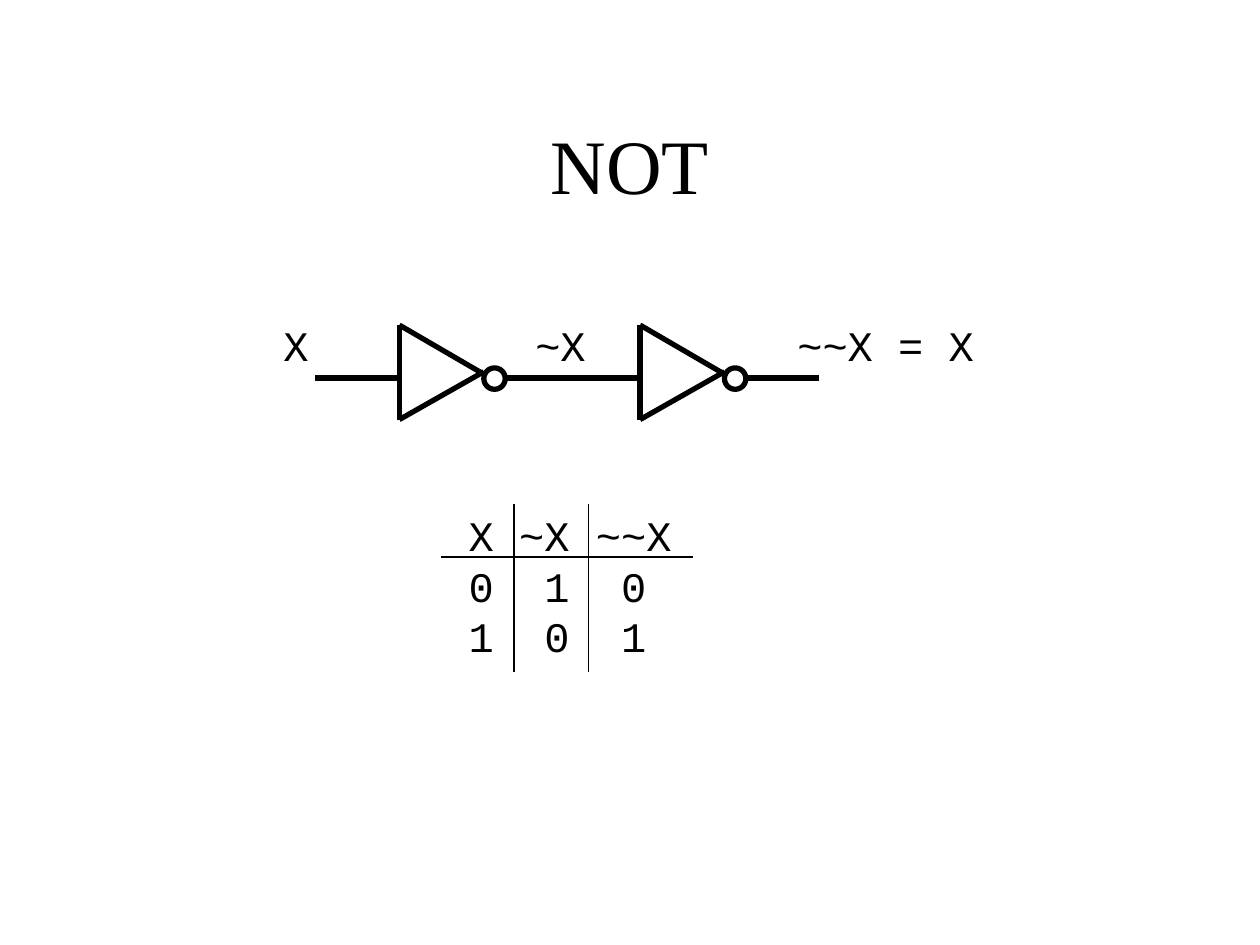
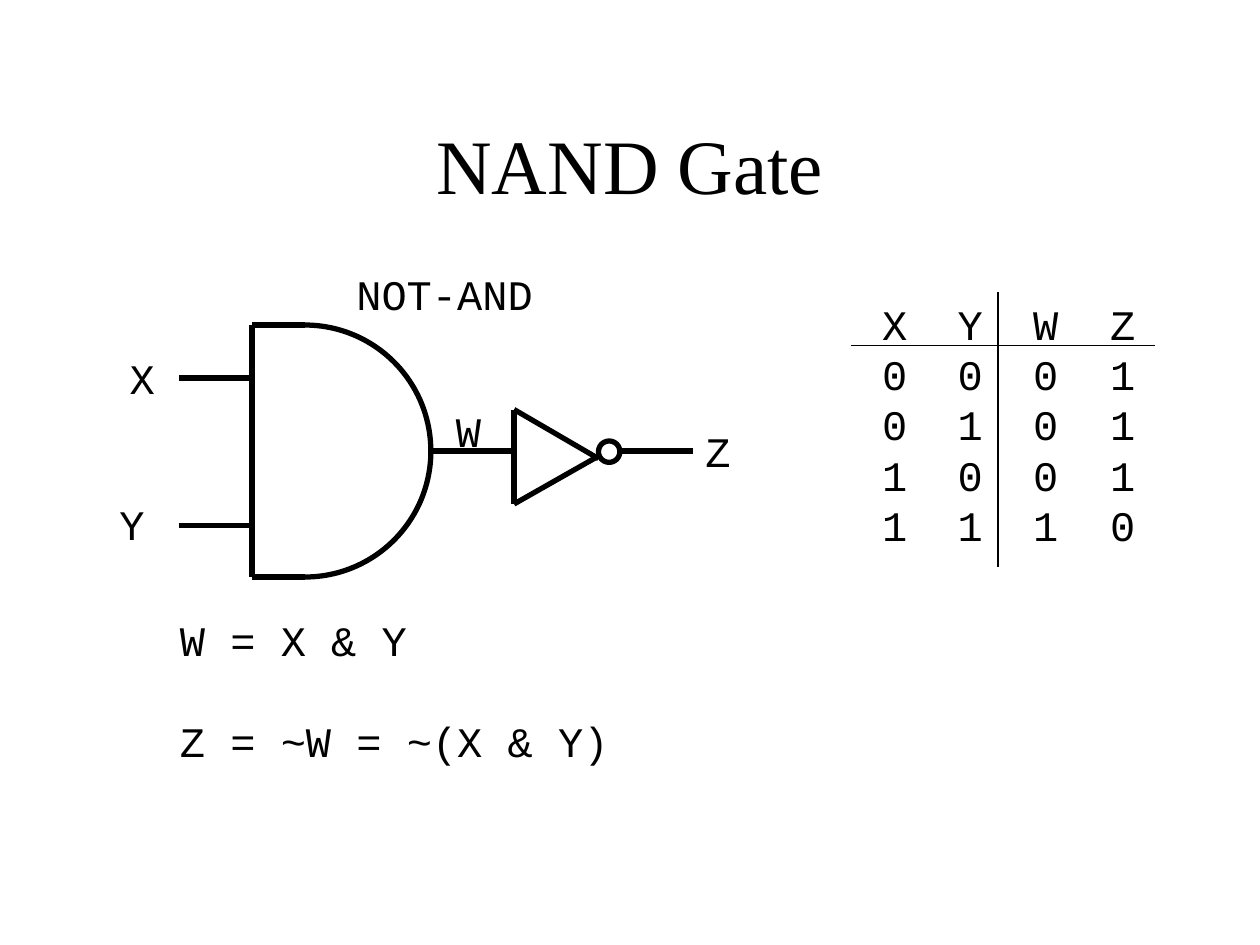
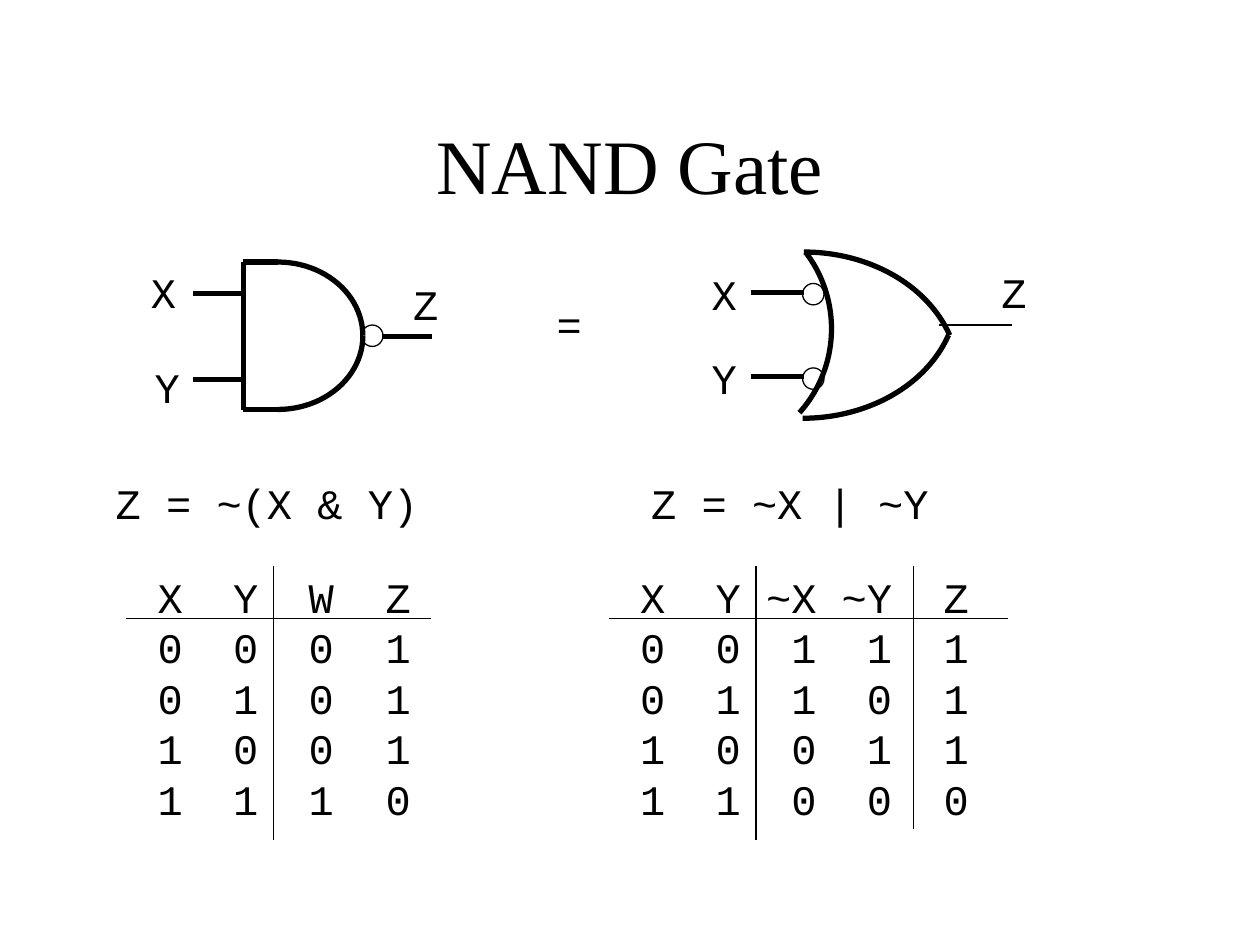
"""Build three slides on NOT and NAND gates with their truth tables."""
import pptx
import pptx.dml.color
import pptx.enum.shapes
import pptx.enum.text
import pptx.oxml
import pptx.util

Inches = pptx.util.Inches
SHAPE = pptx.enum.shapes.MSO_SHAPE
ALIGN = pptx.enum.text.PP_ALIGN
ANCHOR = pptx.enum.text.MSO_ANCHOR
INK = "000000"
THICK, THIN = 3, 0.75
CODE = {"name": "Courier New", "size": pptx.util.Pt(24)}
TITLE = {"name": "Times New Roman", "size": pptx.util.Pt(44)}
TITLE_BOX = (0.75, 0.67, 8.5, 1.25)
CHAR, ROW, INSET, BUBBLE = 0.2, 0.4, 0.1, 0.17

AND_ROWS = ["X Y W Z", "0 0 0 1", "0 1 0 1", "1 0 0 1", "1 1 1 0"]
OR_ROWS = ["X Y ~X ~Y Z", "0 0 1 1 1", "0 1 1 0 1", "1 0 0 1 1", "1 1 0 0 0"]
NOT_ROWS = ["X ~X ~~X", "0 1 0", "1 0 1"]

SLIDES = [
    {
        "title": "NOT",
        "inverters": [(3.17, 2.58, 3), (5.08, 2.58, 3)],
        "labels": [("X", 2.15, 2.49), ("~X", 4.15, 2.49), ("~~X = X", 6.23, 2.49)],
        "tables": [(NOT_ROWS, 3.62, 4, (3.5, 5.5), [(4.08, 5.33), (4.67, 5.33)])],
    },
    {
        "title": "NAND Gate",
        "and_gates": [((1.42, 2.58, 2, 2), 2, (3, 4.17))],
        "inverters": [(4.08, 3.25, 3.58)],
        "labels": [("NOT-AND", 2.73, 2.08), ("X", 0.93, 2.75), ("Y", 0.85, 3.91),
                   ("Z", 5.5, 3.33), ("W", 3.52, 3.17),
                   ("W = X & Y\nZ = ~W = ~(X & Y)", 1.33, 4.83)],
        "tables": [(AND_ROWS, 6.9, 2.32, (6.75, 9.17), [(7.92, 4.5)])],
    },
    {
        "title": "NAND Gate",
        "and_gates": [((1.53, 2.08, 1.35, 1.17), 1.93, (2.33, 3.01))],
        "arcs": [((5.15, 2, 2.46, 1.99), 270, 343.9),
                 ((5.14, 1.33, 2.46, 1.99), 16.1, 90),
                 ((4.6, 1.61, 2, 2), 322.7, 41.8)],
        "wires": [(3.03, 2.67, 3.43, 2.67, THICK), (5.96, 2.32, 6.38, 2.32, THICK),
                  (5.96, 2.99, 6.38, 2.99, THICK), (7.45, 2.58, 8.03, 2.58, THIN)],
        "bubbles": [(2.87, 2.58), (6.37, 2.92), (6.37, 2.25)],
        "labels": [("X", 5.55, 2.08), ("Y", 5.55, 2.75), ("X", 1.1, 2.07),
                   ("Y", 1.13, 2.82), ("Z", 3.18, 2.16), ("Z", 7.85, 2.07),
                   ("Z = ~(X & Y)", 0.82, 3.74), ("Z = ~X | ~Y", 5.07, 3.74),
                   ("=", 4.32, 2.32)],
        "tables": [(AND_ROWS, 1.15, 4.49, (1, 3.42), [(2.17, 6.67)]),
                   (OR_ROWS, 4.98, 4.49, (4.83, 8), [(6, 6.67), (7.25, 6.58)])],
    },
]


def color(hex_text):
    return pptx.dml.color.RGBColor.from_string(hex_text)


def box(*lengths):
    return [Inches(n) for n in lengths]


def write(p, text, style):
    r = p.add_run()
    r.text = text
    for name, value in style.items():
        setattr(r.font, name, value)
    r.font.color.rgb = color(INK)


def text_box(s, text, at, style, align=ALIGN.LEFT, anchor=ANCHOR.TOP, wrap=False):
    tf = s.shapes.add_textbox(*box(*at)).text_frame
    tf.word_wrap, tf.vertical_anchor = wrap, anchor
    for i, line in enumerate(text.split("\n")):
        p = tf.add_paragraph() if i else tf.paragraphs[0]
        p.alignment = align
        if i:
            p.space_before = Inches(ROW)
        write(p, line, style)


def label(s, text, x, y):
    lines = text.split("\n")
    width = CHAR * max(map(len, lines)) + 2 * INSET
    height = ROW * (2 * len(lines) - 1) + INSET
    text_box(s, text, (x, y, width, height), CODE)


def wire(s, x1, y1, x2, y2, weight=THICK):
    c = s.shapes.add_connector(
        pptx.enum.shapes.MSO_CONNECTOR.STRAIGHT, *box(x1, y1, x2, y2))
    c.line.color.rgb = color(INK)
    c.line.width = pptx.util.Pt(weight)
    sp_pr = c._element.spPr
    sp_pr.append(sp_pr.makeelement(pptx.oxml.ns.qn("a:effectLst"), {}))


def outline(s, kind, at, weight):
    sp = s.shapes.add_shape(kind, *box(*at))
    sp.shadow.inherit = False
    sp.fill.background()
    sp.line.color.rgb = color(INK)
    sp.line.width = pptx.util.Pt(weight)
    return sp


def bubble(s, x, y, weight=THIN):
    outline(s, SHAPE.OVAL, (x, y, BUBBLE, BUBBLE), weight)


def arc(s, at, start, end):
    sp = outline(s, SHAPE.ARC, at, THICK)
    for i, degrees in enumerate((start, end)):
        sp.adjustments[i] = degrees * 0.6


def inverter(s, x, top, y):
    wire(s, x - 0.67, y, x, y)
    wire(s, x, top, x, top + 0.75)
    wire(s, x, top, x + 0.67, top + 0.39)
    wire(s, x, top + 0.75, x + 0.67, top + 0.37)
    bubble(s, x + 0.67, y - 0.08, THICK)
    wire(s, x + 0.84, y, x + 1.42, y)


def and_gate(s, at, back, inputs):
    left, top, width, height = at
    bottom = top + height
    arc(s, at, 270, 0)
    arc(s, at, 0, 90)
    for y in (top, bottom):
        wire(s, back, y, left + width / 2, y)
    wire(s, back, top, back, bottom)
    for y in inputs:
        wire(s, left, y, back, y)


def truth_table(s, rows, x, y, rule, dividers):
    cells = [row.split() for row in rows]
    n_rows, n_cols = len(cells), len(cells[0])
    pitch = 3 * CHAR
    frame = s.shapes.add_table(n_rows, n_cols, *box(
        x + INSET - CHAR, y + INSET, pitch * n_cols, ROW * n_rows))
    table = frame.table
    table.first_row = table.horz_banding = False
    for col in table.columns:
        col.width = Inches(pitch)
    table.columns[n_cols - 1].width = Inches(pitch + 0.02)
    for i, row in enumerate(cells):
        table.rows[i].height = Inches(ROW)
        for j, text in enumerate(row):
            cell = table.cell(i, j)
            cell.fill.background()
            for side in ("left", "right", "top", "bottom"):
                setattr(cell, "margin_" + side, 0)
            tc_pr = cell._tc.get_or_add_tcPr()
            for k, tag in enumerate(("a:lnL", "a:lnR", "a:lnT", "a:lnB")):
                ln = tc_pr.makeelement(pptx.oxml.ns.qn(tag), {"w": "0"})
                ln.append(ln.makeelement(pptx.oxml.ns.qn("a:noFill"), {}))
                tc_pr.insert(k, ln)
            p = cell.text_frame.paragraphs[0]
            p.alignment = ALIGN.LEFT if len(text) == 2 else ALIGN.CENTER
            write(p, text, CODE)
    wire(s, rule[0], y + 0.42, rule[1], y + 0.42, THIN)
    for divider, bottom in dividers:
        wire(s, divider, y, divider, bottom, THIN)


PARTS = {"and_gates": and_gate, "inverters": inverter, "arcs": arc, "wires": wire,
         "bubbles": bubble, "labels": label, "tables": truth_table}


def main():
    prs = pptx.Presentation()
    prs.slide_width, prs.slide_height = box(10, 7.5)
    for content in SLIDES:
        s = prs.slides.add_slide(prs.slide_layouts[6])
        text_box(s, content["title"], TITLE_BOX, TITLE, ALIGN.CENTER, ANCHOR.MIDDLE, True)
        for name, draw in PARTS.items():
            for values in content.get(name, []):
                draw(s, *values)
    prs.save("out.pptx")


if __name__ == "__main__":
    main()
